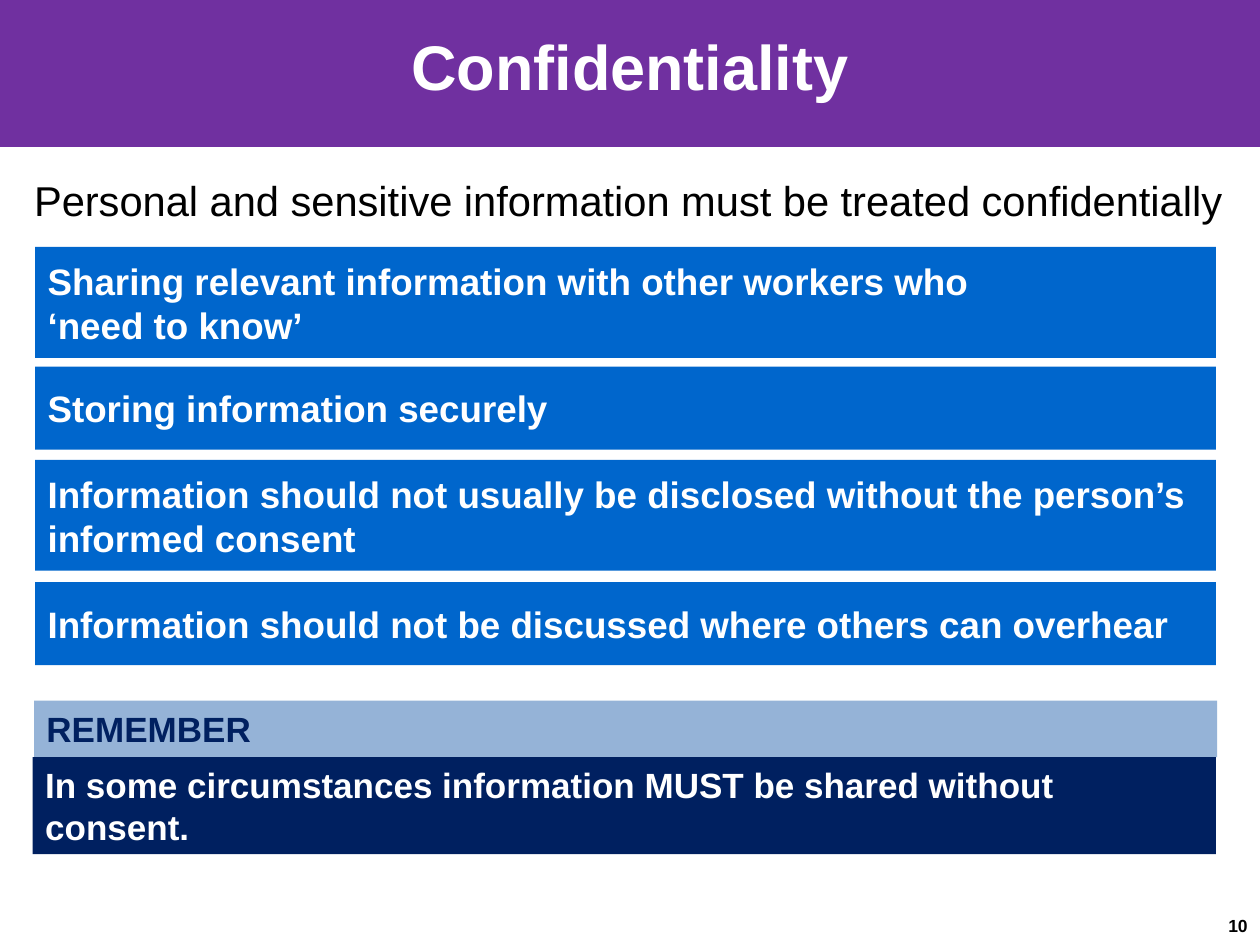
from pptx import Presentation
from pptx import util as u
from pptx.dml.color import RGBColor
from pptx.enum import shapes, text
from pptx.oxml.xmlchemy import OxmlElement


def style(shape, size, color, bold=True, align=text.PP_ALIGN.LEFT):
    shape.text_frame.word_wrap = True
    for para in shape.text_frame.paragraphs:
        para.alignment = align
        for span in para.runs:
            span.font.name = "Arial"
            span.font.size = u.Pt(size)
            span.font.bold = bold
            span.font.color.rgb = RGBColor.from_string(color)


def add_bar(parent, left, top, width, height, fill):
    bar = parent.add_shape(shapes.MSO_SHAPE.RECTANGLE, u.Inches(left), u.Inches(top),
                           u.Inches(width), u.Inches(height))
    bar.shadow.inherit = False
    bar.fill.solid()
    bar.fill.fore_color.rgb = RGBColor.from_string(fill)
    bar.line.fill.background()
    bar.text_frame.vertical_anchor = text.MSO_ANCHOR.MIDDLE
    return bar


deck = Presentation()
deck.slide_width, deck.slide_height = u.Inches(10), u.Inches(7.5)
page = deck.slides.add_slide(deck.slide_layouts[1])

banner = add_bar(page.shapes, 0, 0, 10, 1.15, "7030A0")
banner.line.color.rgb = RGBColor.from_string("7030A0")
banner.line.width = u.Pt(2)
page.shapes.title._element.addprevious(banner._element)

title = page.shapes.title
title.left, title.top = u.Inches(0), u.Inches(-0.11)
title.width, title.height = u.Inches(10), u.Inches(1.25)
title.text_frame.text = "Confidentiality"
title.text_frame.vertical_anchor = text.MSO_ANCHOR.MIDDLE
style(title, 36, "FFFFFF", align=text.PP_ALIGN.CENTER)

intro = page.placeholders[1]
intro.left, intro.top = u.Inches(0.17), u.Inches(1.34)
intro.width, intro.height = u.Inches(9.83), u.Inches(0.53)
intro.text_frame.text = "Personal and sensitive information must be treated confidentially"
para = intro.text_frame.paragraphs[0]
properties = para._p.get_or_add_pPr()
properties.set("marL", "0")
properties.set("indent", "0")
properties.append(OxmlElement("a:buNone"))
para.space_before = u.Pt(0)
style(intro, 23.8, "000000", bold=False)

rules = [
    (1.96, 0.88, "Sharing relevant information with other workers who\v‘need to know’"),
    (2.91, 0.66, "Storing information securely"),
    (3.65, 0.88, "Information should not usually be disclosed without the person’s informed consent"),
    (4.62, 0.66, "Information should not be discussed where others can overhear"),
]
for top, height, wording in rules:
    bar = add_bar(page.shapes, 0.28, top, 9.37, height, "0066CC")
    bar.text_frame.text = wording
    style(bar, 21, "FFFFFF")

reminder = page.shapes.add_group_shape()
reminder_bars = [
    (0.27, 5.56, 0.45, "95B3D7", "002060", "REMEMBER"),
    (0.26, 6.01, 0.77, "002060", "FFFFFF",
     "In some circumstances information MUST be shared without consent."),
]
for left, top, height, fill, color, wording in reminder_bars:
    bar = add_bar(reminder.shapes, left, top, 9.39, height, fill)
    bar.text_frame.text = wording
    style(bar, 20, color)

number = page.shapes.add_textbox(u.Inches(9.65), u.Inches(7.21), u.Inches(0.39), u.Inches(0.27))
number.text_frame.text = "10"
style(number, 10, "000000")
number.text_frame.word_wrap = False
number.text_frame.auto_size = text.MSO_AUTO_SIZE.SHAPE_TO_FIT_TEXT

deck.save("out.pptx")
